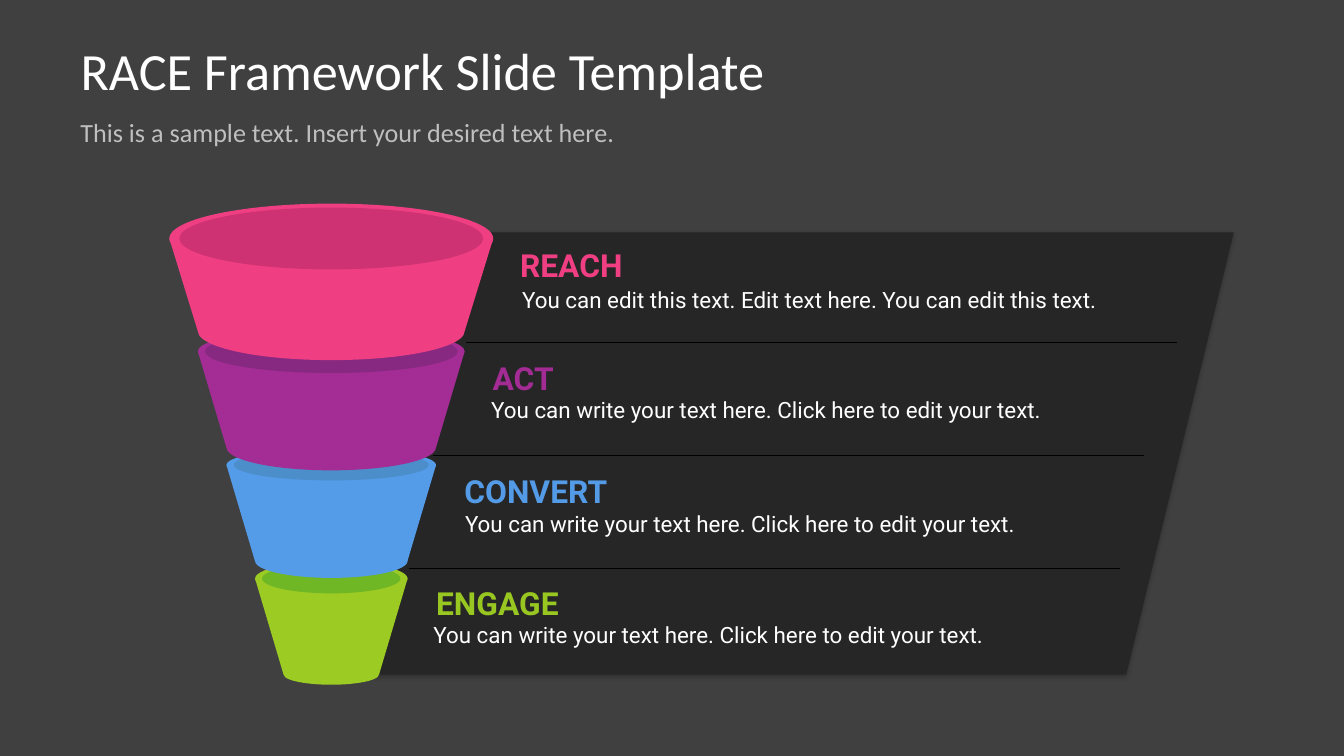
"""Build the RACE funnel slide on a grid of 100 columns with square cells."""
from dataclasses import dataclass

from lxml.etree import SubElement
from pptx import Presentation
from pptx.dml.color import RGBColor as RGB
from pptx.enum.shapes import MSO_CONNECTOR as CONN, MSO_SHAPE as SHAPE
from pptx.enum.text import MSO_ANCHOR as ANCHOR, MSO_AUTO_SIZE as AUTO, PP_ALIGN as ALIGN
from pptx.oxml.ns import qn
from pptx.shapes.autoshape import Shape
from pptx.slide import Slide
from pptx.util import Inches, Pt

SLIDE_W = Inches(10)
SLIDE_H = SLIDE_W * 9 // 16
CELL = SLIDE_W / 100
AXIS = 24.65
TOP_WIDTH, WIDTH_STEP = 24.1, 4.25


@dataclass(frozen=True)
class Theme:
    background: str = "404040"
    panel: str = "262626"
    rule: str = "000000"
    text: str = "FFFFFF"
    muted: str = "BFBFBF"
    title_font: str = "Calibri"
    body_font: str = "Roboto"
    title_size: int = 28
    subtitle_size: int = 14
    heading_size: int = 17
    detail_size: int = 12


@dataclass(frozen=True)
class Box:
    col: float
    row: float
    cols: float
    rows: float

    def emu(self) -> tuple[int, ...]:
        return tuple(cells(n) for n in (self.col, self.row, self.cols, self.rows))


@dataclass(frozen=True)
class Tier:
    heading: str
    detail: str
    colour: str
    inner_colour: str
    heading_colour: str
    top: float
    bottom: float
    rim_rows: float
    inner_cols: float
    inner_rows: float
    base_rows: float
    heading_box: Box
    detail_box: Box


@dataclass(frozen=True)
class Rule:
    row: float
    right: float
    left: float


THEME = Theme()
WRITE = "You can write your text here. Click here to edit your text."
TIERS = (
    Tier("REACH", "You can edit this text. Edit text here. You can edit this text.",
         "EF3F82", "CE3272", "EF3F82", 17.75, 24.65, 5.2, 22.6, 4.6, 4.3,
         Box(38.7, 18.3, 8.3, 2.9), Box(38.85, 21.3, 46.4, 3.3)),
    Tier("ACT", WRITE, "A32C95", "872980", "A22B94", 26.15, 33.3, 3.4, 18.8, 3.2, 3.4,
         Box(36.65, 26.7, 5.2, 2.9), Box(36.55, 29.5, 49.3, 3.3)),
    Tier("CONVERT", WRITE, "549BE8", "4C8EC9", "539BE7", 34.6, 41.75, 2.5, 14.5, 2.3, 2.5,
         Box(34.55, 35.1, 11.6, 2.9), Box(34.6, 37.95, 48.5, 3.3)),
    Tier("ENGAGE", WRITE, "9CCB24", "70B725", "99C722", 43.05, 50.2, 2.5, 10.3, 2.2, 1.5,
         Box(32.45, 43.45, 10.1, 2.9), Box(32.25, 46.25, 48.7, 3.3)),
)
RULES = (Rule(42.3, 83.3, 30.4), Rule(33.9, 85.1, 32.2), Rule(25.5, 87.6, 34.7))
PANEL = [(83.8, 50.2), (26.4, 50.2), (26.4, 17.3), (91.8, 17.3)]


def cells(n: float) -> int:
    return round(n * CELL)


def paint(sp: Shape, colour: str) -> None:
    sp.shadow.inherit = False
    sp.fill.solid()
    sp.fill.fore_color.rgb = RGB.from_string(colour)
    sp.line.fill.background()


def add_polygon(s: Slide, points: list[tuple[float, float]], colour: str) -> Shape:
    start, *rest = [(cells(x), cells(y)) for x, y in points]
    builder = s.shapes.build_freeform(*start)
    builder.add_line_segments(rest)
    sp = builder.convert_to_shape()
    paint(sp, colour)
    return sp


def add_ellipse(s: Slide, row: float, cols: float, rows: float, colour: str) -> None:
    box = Box(AXIS - cols / 2, row - rows / 2, cols, rows)
    paint(s.shapes.add_shape(SHAPE.OVAL, *box.emu()), colour)


def add_panel(s: Slide) -> None:
    sp = add_polygon(s, PANEL, THEME.panel)
    effects = sp._element.spPr.find(qn("a:effectLst"))
    shadow = SubElement(effects, qn("a:outerShdw"), blurRad=str(Pt(2)), dist=str(Pt(1)),
                        dir="5400000", algn="t", rotWithShape="0")
    clr = SubElement(shadow, qn("a:srgbClr"), val=THEME.rule)
    SubElement(clr, qn("a:alpha"), val="23000")


def add_tier(s: Slide, tier: Tier, index: int) -> None:
    rim = TOP_WIDTH - WIDTH_STEP * index
    base = rim - WIDTH_STEP
    add_polygon(s, [(AXIS - rim / 2, tier.top), (AXIS + rim / 2, tier.top),
                    (AXIS + base / 2, tier.bottom), (AXIS - base / 2, tier.bottom)], tier.colour)
    add_ellipse(s, tier.top, rim, tier.rim_rows, tier.colour)
    add_ellipse(s, tier.top, tier.inner_cols, tier.inner_rows, tier.inner_colour)
    add_ellipse(s, tier.bottom, base, tier.base_rows, tier.colour)


def write(sp: Shape, text: str, font: str, size: int, colour: str, bold: bool = False) -> None:
    tf = sp.text_frame
    tf.word_wrap = True
    tf.auto_size = AUTO.NONE
    p = tf.paragraphs[0]
    p.alignment = ALIGN.LEFT
    r = p.add_run()
    r.text = text
    r.font.name, r.font.size, r.font.bold = font, Pt(size), bold
    r.font.color.rgb = RGB.from_string(colour)


def add_label(s: Slide, box: Box, text: str, size: int, colour: str, bold: bool = False) -> None:
    sp = s.shapes.add_textbox(*box.emu())
    tf = sp.text_frame
    tf.margin_left = tf.margin_right = tf.margin_top = tf.margin_bottom = 0
    write(sp, text, THEME.body_font, size, colour, bold)


def add_rule(s: Slide, rule: Rule) -> None:
    y = cells(rule.row)
    line = s.shapes.add_connector(CONN.STRAIGHT, cells(rule.right), y, cells(rule.left), y)
    line.line.color.rgb = RGB.from_string(THEME.rule)
    line.line.width = Pt(0.5)
    SubElement(line._element.spPr, qn("a:effectLst"))


def add_header(s: Slide) -> None:
    title = s.shapes.title
    title.left, title.top, title.width, title.height = Box(5, 2.25, 90, 5.9).emu()
    title.text_frame.vertical_anchor = ANCHOR.MIDDLE
    write(title, "RACE Framework Slide Template", THEME.title_font, THEME.title_size, THEME.text)
    subtitle = s.shapes.add_textbox(*Box(5, 8.15, 90, 4.2).emu())
    write(subtitle, "This is a sample text. Insert your desired text here.",
          THEME.title_font, THEME.subtitle_size, THEME.muted)


def main() -> None:
    prs = Presentation()
    prs.slide_width, prs.slide_height = SLIDE_W, SLIDE_H
    s = prs.slides.add_slide(prs.slide_layouts[5])
    s.background.fill.solid()
    s.background.fill.fore_color.rgb = RGB.from_string(THEME.background)
    add_panel(s)
    for index, tier in reversed(list(enumerate(TIERS))):
        add_tier(s, tier, index)
    add_header(s)
    for tier in reversed(TIERS):
        add_label(s, tier.heading_box, tier.heading, THEME.heading_size, tier.heading_colour, True)
    for rule in RULES:
        add_rule(s, rule)
    for tier in TIERS:
        add_label(s, tier.detail_box, tier.detail, THEME.detail_size, THEME.text)
    prs.save("out.pptx")


if __name__ == "__main__":
    main()
